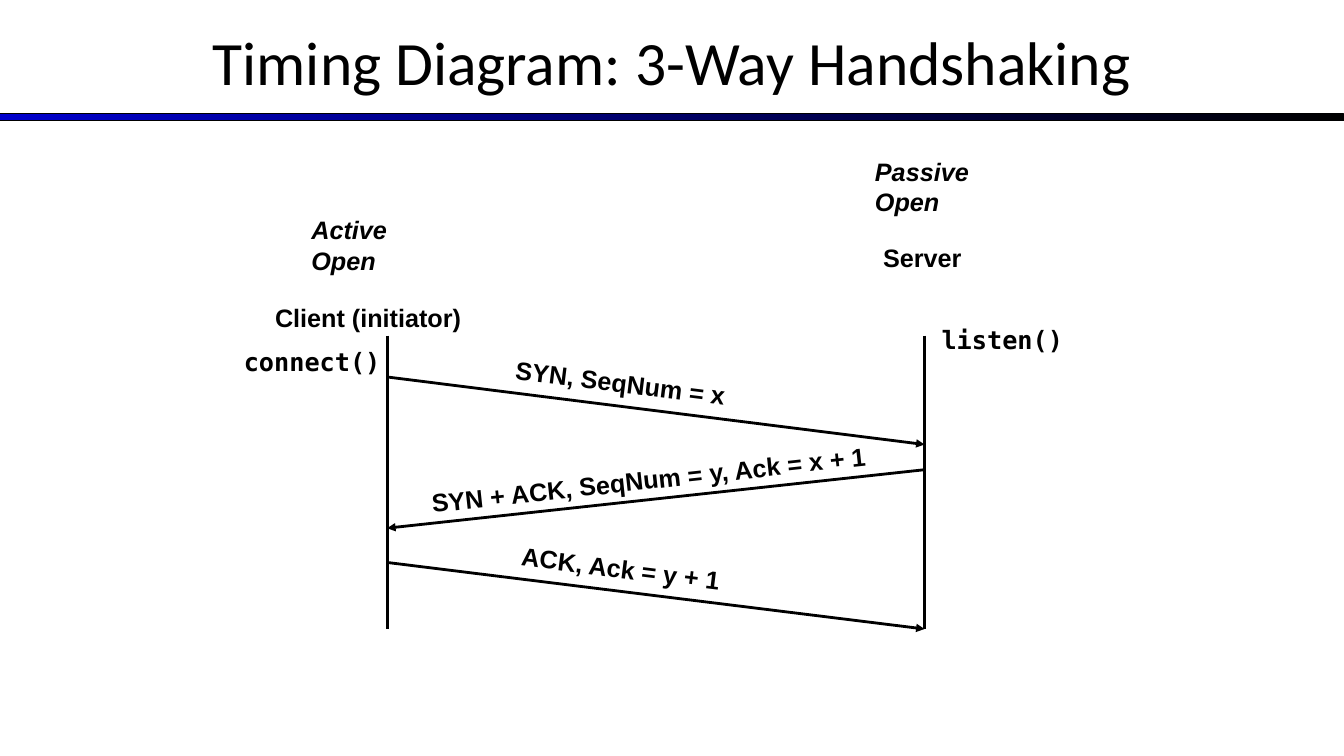
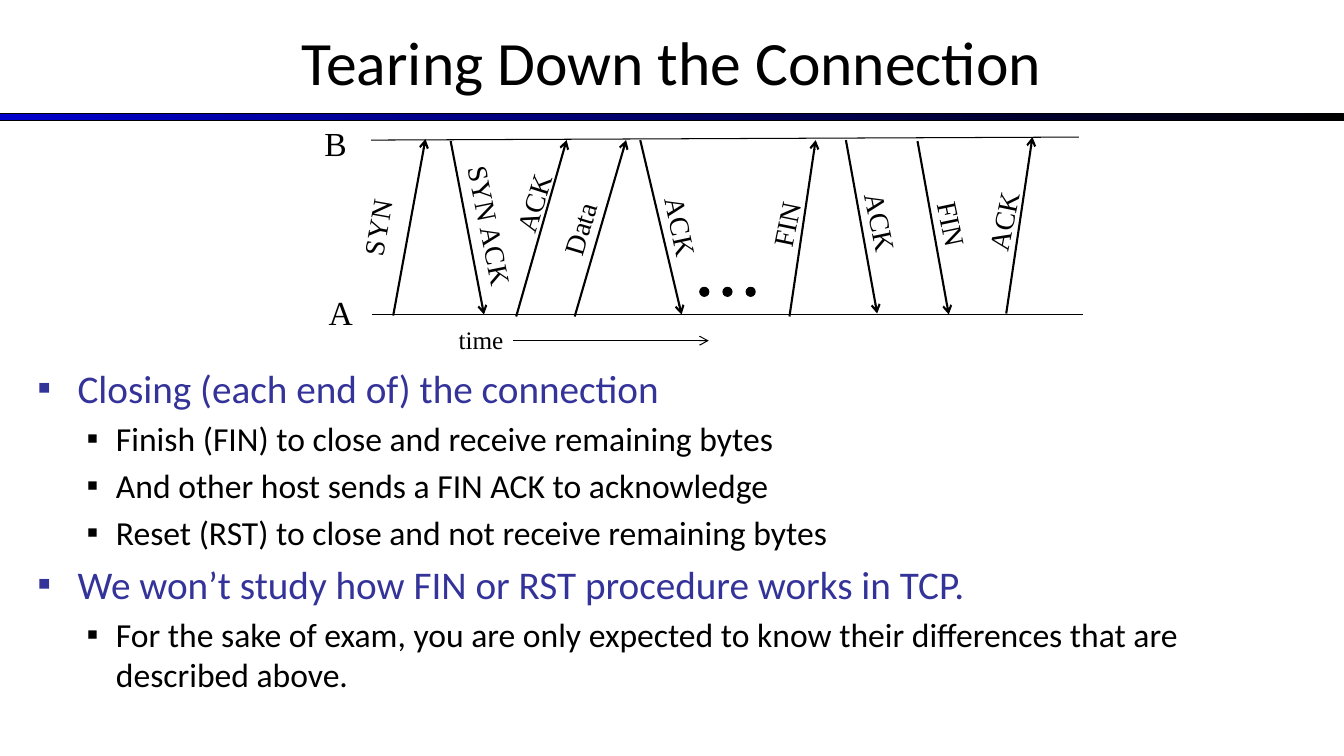
from dataclasses import dataclass

from lxml.etree import SubElement
from pptx import Presentation
from pptx.dml.color import RGBColor
from pptx.enum.shapes import MSO_CONNECTOR as Connector, MSO_SHAPE as Shape
from pptx.enum.text import MSO_ANCHOR as Anchor, MSO_AUTO_SIZE as AutoSize, PP_ALIGN as Align
from pptx.oxml.ns import qn
from pptx.util import Pt

PX = 9144
SLIDE_W, SLIDE_H = 1333, 750
TITLE_ONLY, TITLE_AND_BODY = 5, 1


@dataclass(frozen=True)
class Theme:
    ink: str = "000000"
    accent: str = "333399"
    band_start: str = "0000CC"
    heading_font: str = "Calibri"
    label_font: str = "Arial"
    code_font: str = "DejaVu Sans Mono"
    serif_font: str = "Times New Roman"
    title_size: int = 44
    point_size: int = 28
    detail_size: int = 24
    host_size: int = 24
    packet_size: int = 20
    label_size: int = 18
    hairline: float = 0.75
    packet_line: float = 1.5
    timing_line: float = 2


THEME = Theme()


def px(*lengths):
    return [length * PX for length in lengths]


def rgb(code):
    return RGBColor.from_string(code)


def style_text(frame, font, size, bold=False, italic=False):
    for paragraph in frame.paragraphs:
        for run in paragraph.runs:
            run.font.name = font
            run.font.size = Pt(size)
            run.font.bold = bold
            run.font.italic = italic
            run.font.color.rgb = rgb(THEME.ink)


def place(placeholder, left, top, width, height):
    placeholder.left, placeholder.top, placeholder.width, placeholder.height = px(
        left, top, width, height)


def add_titled_slide(prs, layout, heading):
    slide = prs.slides.add_slide(prs.slide_layouts[layout])
    title = slide.shapes.title
    place(title, 0, 0, SLIDE_W, 121)
    frame = title.text_frame
    frame.text = heading
    frame.auto_size = AutoSize.NONE
    frame.vertical_anchor = Anchor.MIDDLE
    frame.paragraphs[0].alignment = Align.CENTER
    style_text(frame, THEME.heading_font, THEME.title_size)
    return slide


def add_band_to_master(prs, slide):
    band = slide.shapes.add_shape(Shape.RECTANGLE, *px(0, 113, SLIDE_W, 7))
    band.shadow.inherit = False
    band.fill.gradient()
    band.fill.gradient_angle = 0
    for stop, colour in zip(band.fill.gradient_stops, (THEME.band_start, THEME.ink)):
        stop.color.rgb = rgb(colour)
    band.line.color.rgb = rgb(THEME.ink)
    band.line.width = Pt(THEME.hairline)
    prs.slide_master.shapes.element.insert(2, band.element)


def add_line(slide, start, end, weight, head=None):
    line = slide.shapes.add_connector(Connector.STRAIGHT, *px(*start, *end))
    line.line.color.rgb = rgb(THEME.ink)
    line.line.width = Pt(weight)
    properties = line.element.spPr
    if head:
        SubElement(properties.find(qn("a:ln")), qn("a:tailEnd"), type=head)
    SubElement(properties, qn("a:effectLst"))


def add_label(slide, text, left, top, width, font, size, tilt=0, **emphasis):
    rows = text.count("\v") + 1
    height = round(rows * size * 1.2 * 100 / 72) + 10
    label = slide.shapes.add_textbox(*px(left, top, width, height))
    label.rotation = tilt
    frame = label.text_frame
    frame.word_wrap = False
    frame.auto_size = AutoSize.SHAPE_TO_FIT_TEXT
    frame.text = text
    style_text(frame, font, size, **emphasis)


def add_dot(slide, left, top, diameter):
    dot = slide.shapes.add_shape(Shape.OVAL, *px(left, top, diameter, diameter))
    dot.shadow.inherit = False
    dot.fill.solid()
    dot.fill.fore_color.rgb = rgb(THEME.ink)
    dot.line.color.rgb = rgb(THEME.ink)
    dot.line.width = Pt(THEME.hairline)


def fill_bullets(body, entries):
    frame = body.text_frame
    frame.auto_size = AutoSize.NONE
    frame.text = "\n".join(text for _, text in entries)
    levels = (
        (THEME.point_size, THEME.accent, 40, -40),
        (THEME.detail_size, THEME.ink, 78, -29),
    )
    for index, (paragraph, (level, _)) in enumerate(zip(frame.paragraphs, entries)):
        size, colour, margin, indent = levels[level]
        paragraph.level = level
        properties = paragraph._p.get_or_add_pPr()
        properties.set("marL", str(margin * PX))
        properties.set("indent", str(indent * PX))
        bullet_colour = SubElement(properties, qn("a:buClr"))
        SubElement(bullet_colour, qn("a:srgbClr"), val=colour)
        SubElement(properties, qn("a:buFont"), typeface=THEME.label_font)
        SubElement(properties, qn("a:buChar"), char="▪")
        paragraph.space_before = Pt(size * 0.2 if index else 0)
        for run in paragraph.runs:
            run.font.name = THEME.heading_font
            run.font.size = Pt(size)
            run.font.color.rgb = rgb(colour)


def build_handshake(prs):
    slide = add_titled_slide(prs, TITLE_ONLY, "Timing Diagram: 3-Way Handshaking")
    add_band_to_master(prs, slide)
    client, server = 384, 917
    for host in (client, server):
        add_line(slide, (host, 333), (host, 624), THEME.timing_line)

    segments = (
        ("SYN, SeqNum = x", (client, 374), (server, 441), 501, 360, 231, 7.2),
        ("SYN + ACK, SeqNum = y, Ack = x + 1", (server, 466), (client, 524), 417, 455, 457, -6.3),
        ("ACK, Ack = y + 1", (client, 558), (server, 624), 507, 544, 220, 7.2),
    )
    for text, start, end, left, top, width, tilt in segments:
        add_line(slide, start, end, THEME.timing_line, "triangle")
        add_label(slide, text, left, top, width, THEME.label_font, THEME.label_size,
                  tilt, bold=True)

    captions = (
        ("Client (initiator)", 263, 295, 207, THEME.label_font, False),
        ("Server", 866, 235, 99, THEME.label_font, False),
        ("Active\vOpen", 299, 208, 96, THEME.label_font, True),
        ("Passive\vOpen", 858, 150, 114, THEME.label_font, True),
        ("connect()", 232, 339, 156, THEME.code_font, False),
        ("listen()", 924, 317, 141, THEME.code_font, False),
    )
    for text, left, top, width, font, italic in captions:
        add_label(slide, text, left, top, width, font, THEME.label_size,
                  bold=True, italic=italic)


def build_teardown(prs):
    slide = add_titled_slide(prs, TITLE_AND_BODY, "Tearing Down the Connection")
    body = slide.placeholders[1]
    place(body, 27, 356, 1275, 368)
    fill_bullets(body, (
        (0, "Closing (each end of) the connection"),
        (1, "Finish (FIN) to close and receive remaining bytes"),
        (1, "And other host sends a FIN ACK to acknowledge"),
        (1, "Reset (RST) to close and not receive remaining bytes"),
        (0, "We won’t study how FIN or RST procedure works in TCP."),
        (1, "For the sake of exam, you are only expected to know their differences "
            "that are described above."),
    ))

    add_line(slide, (368, 139), (1070, 136), THEME.hairline)
    add_line(slide, (369, 312), (1074, 312), THEME.hairline)
    add_line(slide, (509, 338), (703, 338), THEME.hairline, "arrow")

    packets = (
        ("SYN", (390, 313), (422, 138), 336, 204, 76, 280.1),
        ("SYN ACK", (447, 140), (480, 312), 416, 203, 141, 78.5),
        ("ACK", (512, 314), (562, 139), 489, 179, 80, 287.4),
        ("Data", (570, 314), (621, 139), 538, 205, 73, 286.7),
        ("ACK", (635, 139), (676, 312), 636, 204, 80, 77.9),
        ("FIN", (783, 314), (809, 139), 747, 201, 65, 281.6),
        ("ACK", (839, 139), (870, 311), 834, 200, 80, 78.1),
        ("FIN", (910, 140), (941, 312), 912, 201, 65, 78.1),
        ("ACK", (998, 311), (1024, 136), 955, 197, 80, 281.6),
    )
    for text, start, end, left, top, width, tilt in packets:
        add_line(slide, start, end, THEME.packet_line, "arrow")
        add_label(slide, text, left, top, width, THEME.serif_font, THEME.packet_size, tilt)

    for text, left, top, width, size in (
        ("A", 316, 285, 45, THEME.host_size),
        ("B", 312, 117, 43, THEME.host_size),
        ("time", 445, 317, 65, THEME.label_size),
    ):
        add_label(slide, text, left, top, width, THEME.serif_font, size)

    for step in range(3):
        add_dot(slide, 694 + 23 * step, 285, 9)


def main():
    prs = Presentation()
    prs.slide_width, prs.slide_height = px(SLIDE_W, SLIDE_H)
    build_handshake(prs)
    build_teardown(prs)
    prs.save("out.pptx")


if __name__ == "__main__":
    main()
